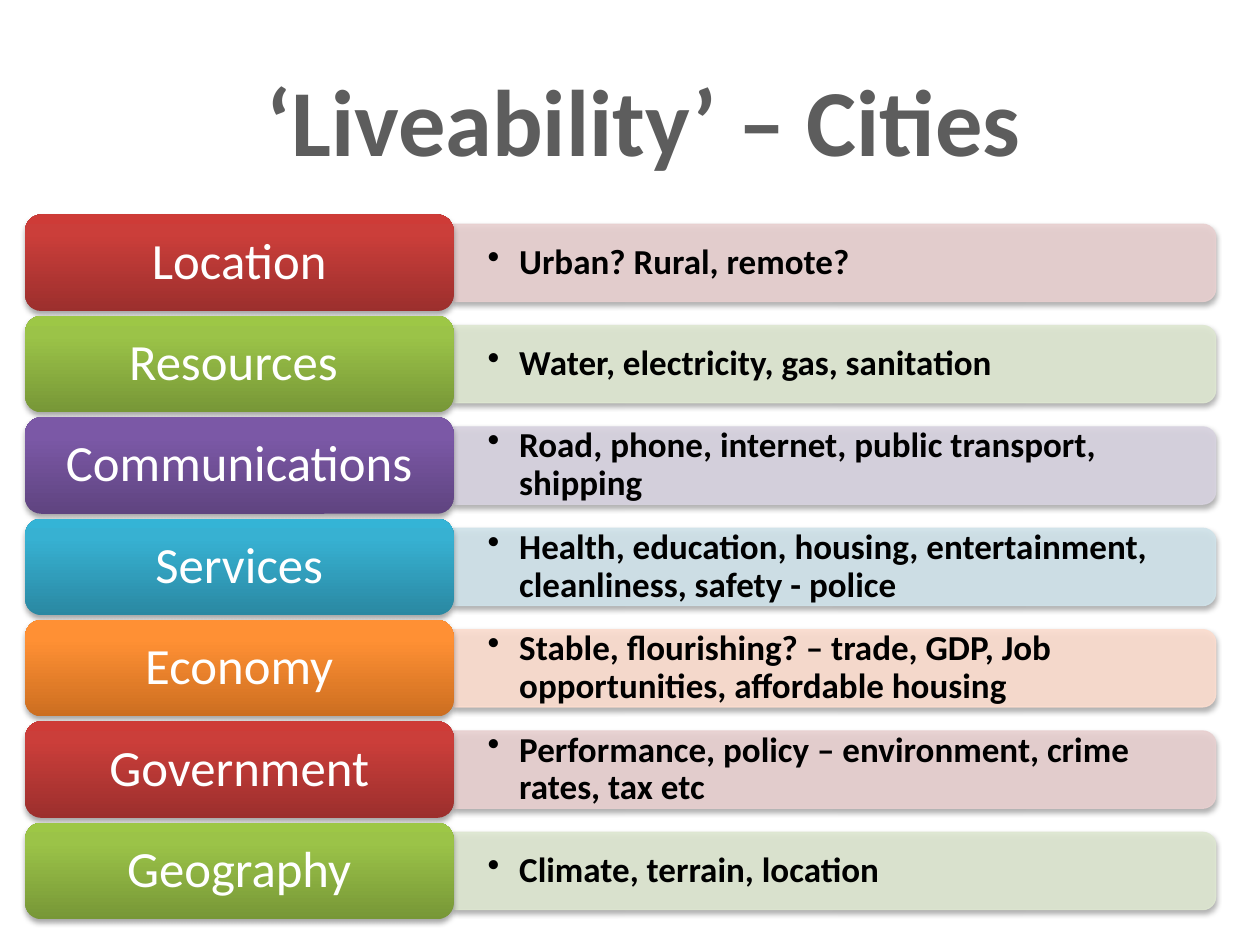
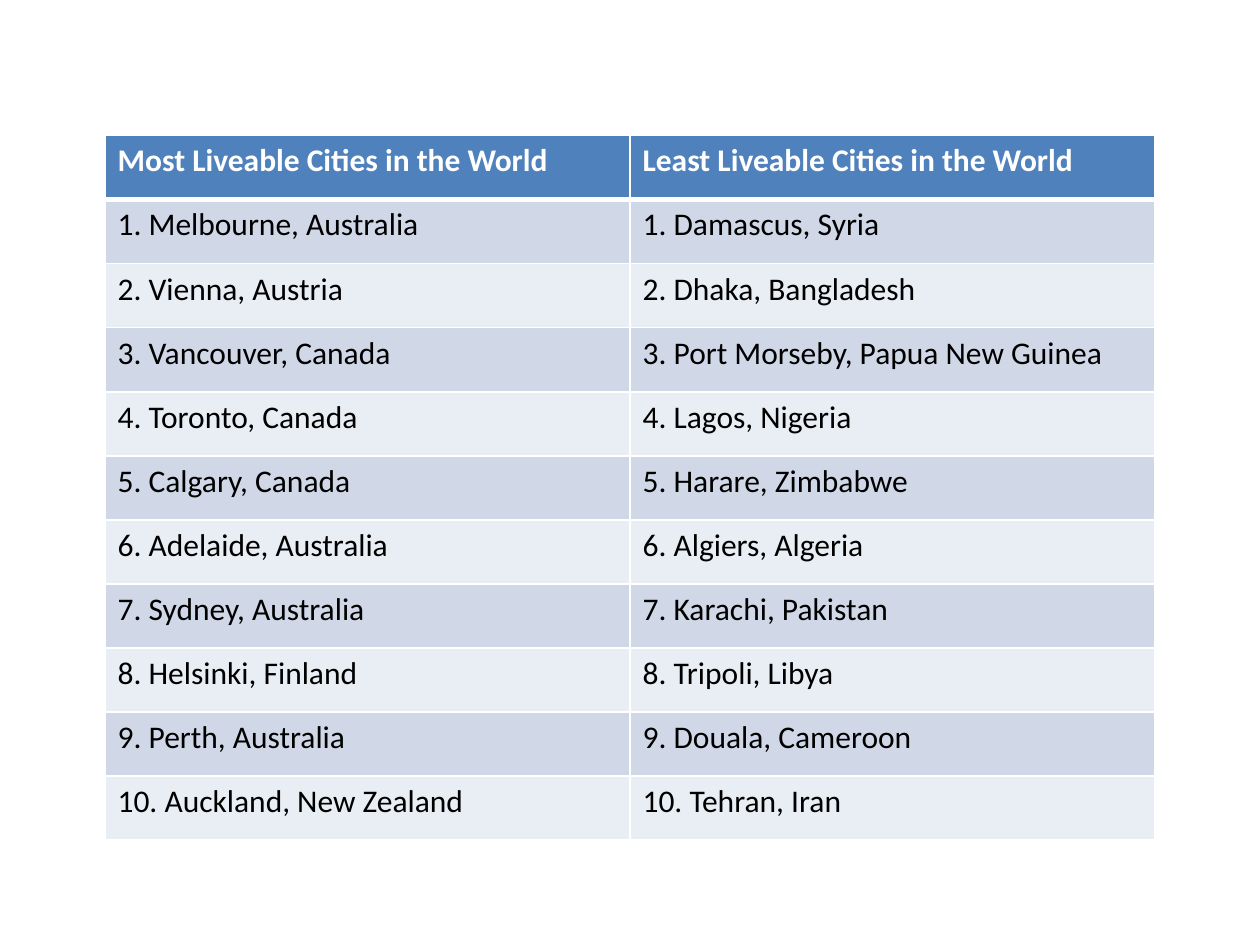
"""Builds two slides about the liveability of cities."""
from typing import NamedTuple

from lxml.etree import SubElement
from pptx import Presentation
from pptx.dml.color import RGBColor
from pptx.enum.shapes import MSO_SHAPE as Shape
from pptx.enum.text import MSO_ANCHOR as Anchor, MSO_AUTO_SIZE as AutoSize, PP_ALIGN as Align
from pptx.oxml.ns import qn
from pptx.util import Pt

FONT = "Calibri"
COLOURS = {
    "title": "5D5D5D", "white": "FFFFFF", "black": "000000",
    "header": "4F81BD", "odd_row": "D0D8E8", "even_row": "E9EDF4",
}


class Theme(NamedTuple):
    tint: str
    dark: str
    middle: str
    light: str


class Factor(NamedTuple):
    label: str
    detail: str


class Box(NamedTuple):
    left: float
    top: float
    width: float
    height: float

    def points(self) -> list:
        return [Pt(length) for length in self]


THEMES = [
    Theme("E8D0D0", "9C2F2D", "CB3E3A", "CE3B37"),
    Theme("DEE7D1", "779737", "9BC348", "9DC746"),
    Theme("D8D3E0", "5F4480", "7B58A6", "7C57A8"),
    Theme("D0E3EA", "2A88A2", "37B1D2", "34B4D6"),
    Theme("FCDDCF", "CC6E20", "FF9034", "FF9136"),
]
FACTORS = [
    Factor("Location", "Urban? Rural, remote?"),
    Factor("Resources ", "Water, electricity, gas, sanitation"),
    Factor("Communications", "Road, phone, internet, public transport, shipping"),
    Factor("Services", "Health, education, housing, entertainment, cleanliness, safety - police"),
    Factor("Economy", "Stable, flourishing? – trade, GDP, Job opportunities, affordable housing"),
    Factor("Government", "Performance, policy – environment, crime rates, tax etc"),
    Factor("Geography", "Climate, terrain, location"),
]
CITIES = {
    "Most Liveable Cities in the World": [
        "Melbourne, Australia", "Vienna, Austria", "Vancouver, Canada", "Toronto, Canada",
        "Calgary, Canada", "Adelaide, Australia", "Sydney, Australia", "Helsinki, Finland",
        "Perth, Australia", "Auckland, New Zealand",
    ],
    "Least Liveable Cities in the World": [
        "Damascus, Syria", "Dhaka, Bangladesh", "Port Morseby, Papua New Guinea",
        "Lagos, Nigeria", "Harare, Zimbabwe", "Algiers, Algeria", "Karachi, Pakistan",
        "Tripoli, Libya", "Douala, Cameroon", "Tehran, Iran",
    ],
}
FIRST_TOP, PITCH = 122.6, 57.92
LABEL_LEFT, LABEL_WIDTH, LABEL_HEIGHT = 14.4, 244.8, 55.16
BAR_WIDTH, BAR_HEIGHT = 435.5, 44.13
TABLE_BOX = Box(60, 77.5, 600, 402.6)


def write_text(frame, text: str, *, size: float, colour: str, bold: bool = False,
               align=Align.LEFT, spacing: float = 1, bullet_indent: float = 0) -> None:
    paragraph = frame.paragraphs[0]
    paragraph.text = text
    paragraph.alignment = align
    paragraph.line_spacing = spacing
    if bullet_indent:
        properties = paragraph._p.get_or_add_pPr()
        properties.set("marL", str(Pt(bullet_indent)))
        properties.set("indent", str(-Pt(bullet_indent)))
        SubElement(properties, qn("a:buChar"), char="•")
    font = paragraph.runs[0].font
    font.name, font.size, font.bold = FONT, Pt(size), bold
    font.color.rgb = RGBColor.from_string(COLOURS[colour])


def set_frame(frame, side: float, *, wrap: bool = True) -> None:
    frame.auto_size = AutoSize.NONE
    frame.word_wrap = wrap
    frame.vertical_anchor = Anchor.MIDDLE
    frame.margin_left = frame.margin_right = Pt(side)
    frame.margin_top = frame.margin_bottom = Pt(3.6)


def add_colour(parent, colour: str, alpha: int = 100) -> None:
    element = SubElement(parent, qn("a:srgbClr"), val=colour)
    if alpha < 100:
        SubElement(element, qn("a:alpha"), val=str(alpha * 1000))


def add_shadow(shape) -> None:
    shape.shadow.inherit = False
    effects = shape._element.spPr.find(qn("a:effectLst"))
    shadow = SubElement(effects, qn("a:outerShdw"), blurRad=str(Pt(3.1)), dist=str(Pt(1.8)),
                        dir="5400000", rotWithShape="0")
    add_colour(shadow, COLOURS["black"], 35)


def add_bar(slide, left: float, middle: float, theme: Theme, text: str) -> None:
    box = Box(left + (BAR_WIDTH - BAR_HEIGHT) / 2, middle - BAR_WIDTH / 2, BAR_HEIGHT, BAR_WIDTH)
    bar = slide.shapes.add_shape(Shape.ROUND_2_SAME_RECTANGLE, *box.points())
    bar.rotation = 90
    bar.line.width = Pt(0.75)
    for fill in (bar.fill, bar.line.fill):
        fill.solid()
        fill.fore_color.rgb = RGBColor.from_string(theme.tint)
    for colour in bar._element.spPr.iter(qn("a:srgbClr")):
        SubElement(colour, qn("a:alpha"), val="90000")
    add_shadow(bar)
    text_box = slide.shapes.add_textbox(*Box(left, middle - 19.9, 433.4, 39.8).points())
    set_frame(text_box.text_frame, 19.5)
    write_text(text_box.text_frame, text, size=20, colour="black", bold=True,
               spacing=0.9, bullet_indent=18)


def add_label(slide, box: Box, theme: Theme, text: str) -> None:
    label = slide.shapes.add_shape(Shape.ROUNDED_RECTANGLE, *box.points())
    label.line.fill.background()
    label.fill.gradient()
    label.fill.gradient_angle = 90
    stops = label._element.spPr.find(".//" + qn("a:gsLst"))
    for stop in list(stops):
        stops.remove(stop)
    for position, colour in ((0, theme.dark), (80, theme.middle), (100, theme.light)):
        add_colour(SubElement(stops, qn("a:gs"), pos=str(position * 1000)), colour)
    add_shadow(label)
    set_frame(label.text_frame, 11)
    write_text(label.text_frame, text, size=29, colour="white", align=Align.CENTER, spacing=0.9)


def add_borders(cell, **widths: float) -> None:
    properties = cell._tc.get_or_add_tcPr()
    for side, width in widths.items():
        line = SubElement(properties, qn(f"a:ln{side}"), w=str(Pt(width)))
        add_colour(SubElement(line, qn("a:solidFill")), COLOURS["white"])


def build_factors(presentation) -> None:
    slide = presentation.slides.add_slide(presentation.slide_layouts[5])
    title = slide.shapes.title
    title.left, title.top, title.width, title.height = Box(144.6, 31.7, 447, 72.7).points()
    set_frame(title.text_frame, 7.2, wrap=False)
    write_text(title.text_frame, "‘Liveability’ – Cities", size=54, colour="title",
               bold=True, align=Align.CENTER)
    for index, factor in enumerate(FACTORS):
        theme = THEMES[index % len(THEMES)]
        label_box = Box(LABEL_LEFT, FIRST_TOP + index * PITCH, LABEL_WIDTH, LABEL_HEIGHT)
        add_bar(slide, LABEL_LEFT + LABEL_WIDTH, label_box.top + LABEL_HEIGHT / 2, theme,
                factor.detail)
        add_label(slide, label_box, theme, factor.label)


def build_cities(presentation) -> None:
    slide = presentation.slides.add_slide(presentation.slide_layouts[6])
    row_count = 1 + max(len(cities) for cities in CITIES.values())
    table = slide.shapes.add_table(row_count, len(CITIES), *TABLE_BOX.points()).table
    for row in table.rows:
        row.height = Pt(TABLE_BOX.height / row_count)
    for column, (heading, cities) in enumerate(CITIES.items()):
        entries = [f"{rank}. {city}" for rank, city in enumerate(cities, 1)]
        for row, text in enumerate([heading, *entries]):
            header = row == 0
            cell = table.cell(row, column)
            add_borders(cell, L=1, R=1, T=3 if row == 1 else 1, B=3 if header else 1)
            cell.fill.solid()
            fill = "header" if header else "odd_row" if row % 2 else "even_row"
            cell.fill.fore_color.rgb = RGBColor.from_string(COLOURS[fill])
            write_text(cell.text_frame, text, size=18, bold=header,
                       colour="white" if header else "black")


def main() -> None:
    presentation = Presentation()
    presentation.slide_width, presentation.slide_height = Pt(720), Pt(540)
    build_factors(presentation)
    build_cities(presentation)
    presentation.save("out.pptx")


if __name__ == "__main__":
    main()
